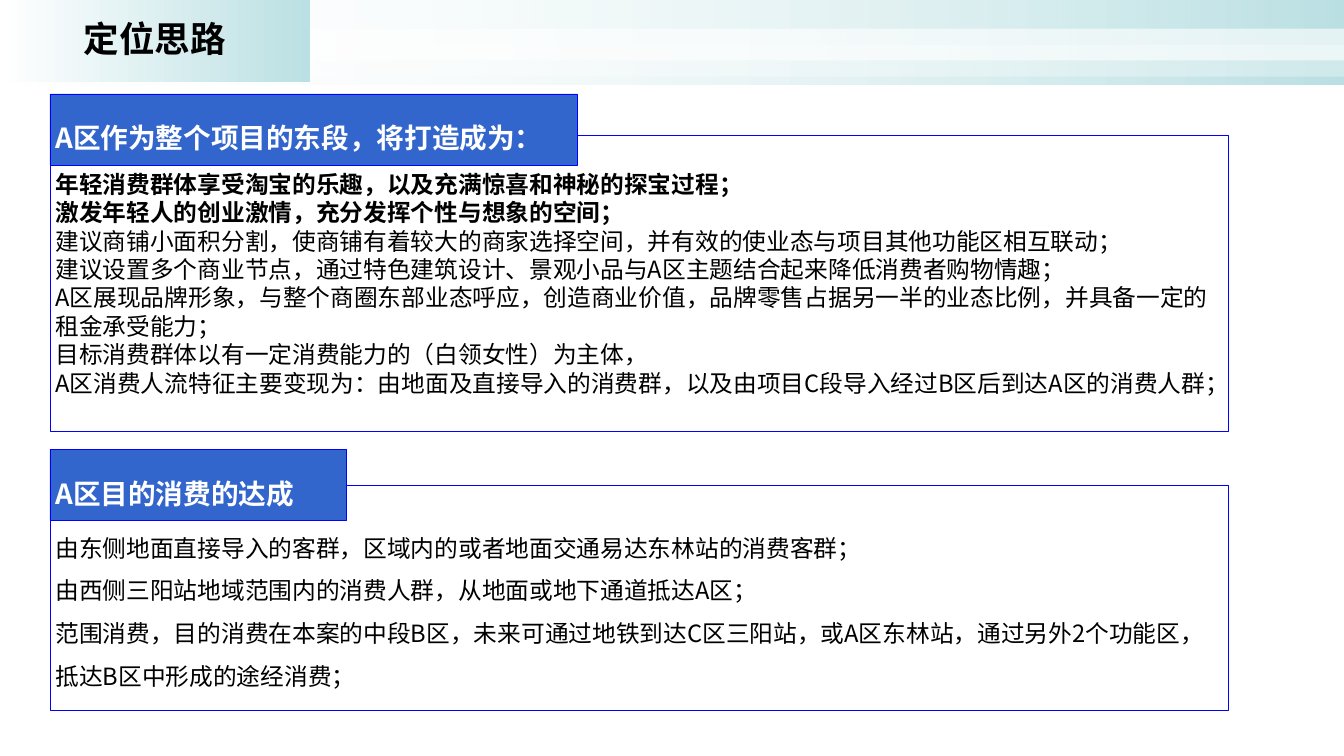
"""Build the positioning slide for zone A of the shopping project."""
from dataclasses import dataclass

from lxml.etree import SubElement
from pptx import Presentation
from pptx.dml.color import RGBColor
from pptx.enum.shapes import MSO_SHAPE
from pptx.enum.text import MSO_ANCHOR, MSO_AUTO_SIZE, PP_ALIGN
from pptx.oxml.ns import qn
from pptx.util import Cm, Pt


@dataclass(frozen=True)
class Theme:
    font: str = "Noto Sans CJK SC"
    ink: str = "000000"
    paper: str = "FFFFFF"
    mint: str = "BBE0E3"
    label: str = "3366CC"
    border: str = "0000FF"
    title_size: int = 36
    label_size: int = 28
    body_size: int = 24
    line_height: float = 1.2
    wide: float = 1.5
    border_width: float = 0.5
    inset: float = 0.2
    list_top: float = 1.22


class PositioningSlide:
    def __init__(self, theme, width, height):
        self.theme = theme
        self.deck = Presentation()
        self.deck.slide_width, self.deck.slide_height = Cm(width), Cm(height)
        self.slide = self.deck.slides.add_slide(self.deck.slide_layouts[3])

    def place(self, shape, left, top, width, height):
        shape.left, shape.top = Cm(left), Cm(top)
        shape.width, shape.height = Cm(width), Cm(height)
        self.slide.shapes._spTree.append(shape._element)

    def rectangle(self, left, top, width, height):
        box = self.slide.shapes.add_shape(
            MSO_SHAPE.RECTANGLE, Cm(left), Cm(top), Cm(width), Cm(height))
        box.shadow.inherit = False
        box.line.fill.background()
        return box

    def paint(self, shape, color, opacity=100):
        shape.fill.solid()
        shape.fill.fore_color.rgb = RGBColor.from_string(color)
        self.set_opacity(shape, opacity)

    def set_opacity(self, shape, opacity):
        if opacity < 100:
            first_color = next(shape._element.spPr.iter(qn("a:srgbClr")))
            SubElement(first_color, qn("a:alpha"), val=str(opacity * 1000))

    def fade(self, shape, start_opacity=100):
        shape.fill.gradient()
        shape.fill.gradient_angle = 0
        for stop, color in zip(shape.fill.gradient_stops, (self.theme.paper, self.theme.mint)):
            stop.color.rgb = RGBColor.from_string(color)
        self.set_opacity(shape, start_opacity)

    def outline(self, shape):
        shape.line.color.rgb = RGBColor.from_string(self.theme.border)
        shape.line.width = Pt(self.theme.border_width)

    def set_text(self, shape, lines, size, color, bold_count, spacing,
                 align=PP_ALIGN.LEFT, anchor=MSO_ANCHOR.MIDDLE, top=None, wrap=True):
        frame = shape.text_frame
        frame.text = "\n".join(lines)
        frame.auto_size = MSO_AUTO_SIZE.NONE
        frame.word_wrap = wrap
        frame.vertical_anchor = anchor
        inset = Cm(self.theme.inset)
        frame.margin_left = frame.margin_right = frame.margin_bottom = inset
        frame.margin_top = inset if top is None else Cm(top)
        for number, paragraph in enumerate(frame.paragraphs):
            paragraph.alignment = align
            paragraph.line_spacing = spacing
            paragraph.space_before = paragraph.space_after = Pt(0)
            properties = paragraph._p.get_or_add_pPr()
            properties.set("marL", "0")
            properties.set("indent", "0")
            SubElement(properties, qn("a:buNone"))
            font = paragraph.font
            font.size, font.bold = Pt(size), number < bold_count
            font.color.rgb = RGBColor.from_string(color)
            font.name = self.theme.font
            SubElement(font._element, qn("a:ea"), typeface=self.theme.font)

    def banner(self, width):
        self.fade(self.rectangle(0, 0, width, 3.02), start_opacity=0)
        for top, opacity in ((1.02, 60), (1.6, 31)):
            self.paint(self.rectangle(0, top, width, 1.14), self.theme.paper, opacity)

    def title(self, text, width, height):
        heading = self.slide.shapes.title
        self.place(heading, 0, 0, width, height)
        self.fade(heading)
        self.set_text(heading, [text], self.theme.title_size, self.theme.ink, 1, 0.9,
                      align=PP_ALIGN.CENTER)

    def section(self, index, label, label_top, label_width, lines, top, height,
                bold_count=0, stretch=1):
        theme, left = self.theme, 1.78
        body = self.slide.placeholders[index]
        self.place(body, left, top, 42.11, height)
        self.paint(body, theme.paper)
        self.outline(body)
        self.set_text(body, lines, theme.body_size, theme.ink, bold_count,
                      Pt(theme.body_size * theme.line_height * stretch),
                      anchor=MSO_ANCHOR.TOP, top=theme.list_top)
        tab = self.rectangle(left, label_top, label_width, 2.54)
        self.paint(tab, theme.label)
        self.outline(tab)
        self.set_text(tab, [label], theme.label_size, theme.paper, 1,
                      Pt(theme.label_size * theme.line_height * theme.wide), wrap=False)


def main():
    theme = Theme()
    width = 48.01
    page = PositioningSlide(theme, width, 27)
    page.banner(width)
    page.title("定位思路", 11.07, 2.92)
    page.section(1, "A区作为整个项目的东段，将打造成为：", 3.35, 18.85, [
        "年轻消费群体享受淘宝的乐趣，以及充满惊喜和神秘的探宝过程；",
        "激发年轻人的创业激情，充分发挥个性与想象的空间；",
        "建议商铺小面积分割，使商铺有着较大的商家选择空间，并有效的使业态与项目其他功能区相互联动；",
        "建议设置多个商业节点，通过特色建筑设计、景观小品与A区主题结合起来降低消费者购物情趣；",
        "A区展现品牌形象，与整个商圈东部业态呼应，创造商业价值，品牌零售占据另一半的业态比例，并具备一定的租金承受能力；",
        "目标消费群体以有一定消费能力的（白领女性）为主体，",
        "A区消费人流特征主要变现为：由地面及直接导入的消费群，以及由项目C段导入经过B区后到达A区的消费人群；",
    ], 4.83, 10.57, bold_count=2)
    page.section(2, "A区目的消费的达成", 16.05, 10.59, [
        "由东侧地面直接导入的客群，区域内的或者地面交通易达东林站的消费客群；",
        "由西侧三阳站地域范围内的消费人群，从地面或地下通道抵达A区；",
        "范围消费，目的消费在本案的中段B区，未来可通过地铁到达C区三阳站，或A区东林站，通过另外2个功能区，抵达B区中形成的途经消费；",
    ], 17.32, 8.03, stretch=theme.wide)
    page.deck.save("out.pptx")


if __name__ == "__main__":
    main()
